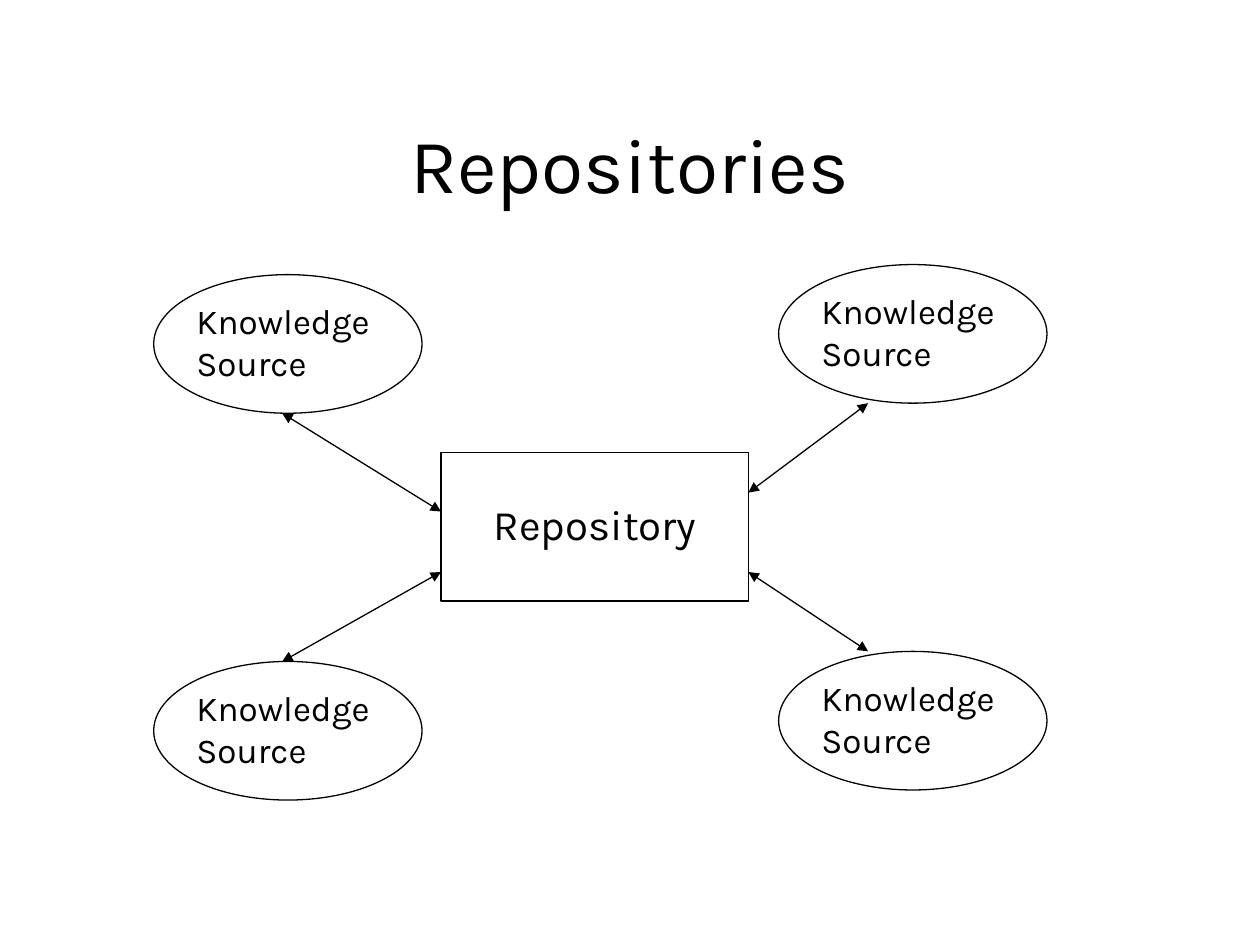
from lxml.etree import SubElement
from pptx import Presentation
from pptx.dml.color import RGBColor
from pptx.enum.shapes import MSO_CONNECTOR, MSO_SHAPE
from pptx.enum.text import MSO_ANCHOR, MSO_AUTO_SIZE, PP_ALIGN
from pptx.oxml.ns import qn
from pptx.util import Inches, Pt

INK = "000000"
FONT = "Karla"
SOURCE_CORNERS = [(1.22, 2.18), (1.22, 5.25), (6.18, 5.17), (6.18, 2.1)]
LINKS = [
    (2.24, 5.25, 3.5, 4.54),
    (2.24, 3.28, 3.5, 4.06),
    (6.89, 3.2, 5.94, 3.91),
    (6.89, 5.17, 5.94, 4.54),
]


def rgb(hex_color):
    return RGBColor.from_string(hex_color)


def write(frame, text, size, align=PP_ALIGN.LEFT, anchor=MSO_ANCHOR.TOP,
          fit=MSO_AUTO_SIZE.NONE):
    frame.word_wrap = True
    frame.auto_size = fit
    frame.vertical_anchor = anchor
    paragraph = frame.paragraphs[0]
    paragraph.alignment = align
    run = paragraph.add_run()
    run.text = text
    run.font.size = Pt(size)
    run.font.name = FONT
    run.font.color.rgb = rgb(INK)


def draw_outline(line):
    line.color.rgb = rgb(INK)
    line.width = Pt(0.75)


def add_node(slide, preset, node_box, label_box, text, size):
    node = slide.shapes.add_group_shape()
    outline = node.shapes.add_shape(preset, *map(Inches, node_box))
    outline.shadow.inherit = False
    outline.fill.background()
    draw_outline(outline.line)
    label = node.shapes.add_textbox(*map(Inches, label_box))
    write(label.text_frame, text, size, fit=MSO_AUTO_SIZE.SHAPE_TO_FIT_TEXT)


def add_link(slide, ends):
    link = slide.shapes.add_connector(MSO_CONNECTOR.STRAIGHT, *map(Inches, ends))
    draw_outline(link.line)
    stroke = link.line._get_or_add_ln()
    for end in ("a:headEnd", "a:tailEnd"):
        SubElement(stroke, qn(end), type="triangle")
    SubElement(link._element.spPr, qn("a:effectLst"))


def add_title(slide, text):
    title = slide.shapes.title
    title.left, title.top = Inches(0.75), Inches(0.67)
    title.width, title.height = Inches(8.5), Inches(1.25)
    write(title.text_frame, text, 44, align=PP_ALIGN.CENTER,
          anchor=MSO_ANCHOR.MIDDLE)


def main():
    deck = Presentation()
    deck.slide_width, deck.slide_height = Inches(10), Inches(7.5)
    slide = deck.slides.add_slide(deck.slide_layouts[5])
    slide.background.fill.solid()
    slide.background.fill.fore_color.rgb = rgb("FFFFFF")
    add_title(slide, "Repositories")
    add_node(slide, MSO_SHAPE.RECTANGLE, (3.5, 3.59, 2.44, 1.18),
             (3.82, 3.91, 2.05, 0.5), "Repository", 24)
    for left, top in SOURCE_CORNERS:
        add_node(slide, MSO_SHAPE.OVAL, (left, top, 2.13, 1.1),
                 (left + 0.24, top + 0.15, 1.73, 0.77), "Knowledge Source", 20)
    for ends in LINKS:
        add_link(slide, ends)
    deck.save("out.pptx")


if __name__ == "__main__":
    main()
